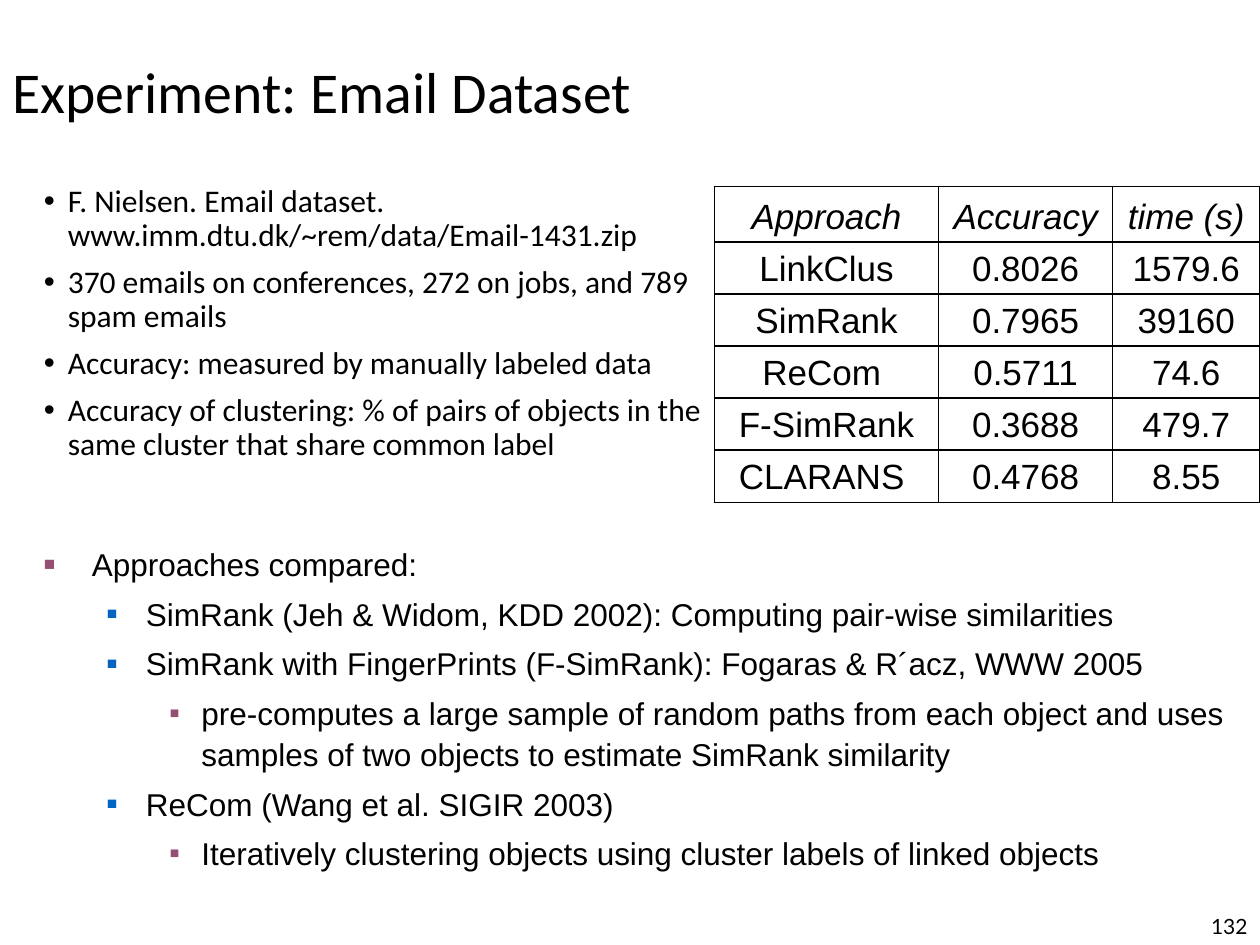
from lxml import etree
from pptx import Presentation, util as u
from pptx.dml.color import RGBColor
from pptx.enum import text
from pptx.oxml import ns

BLACK = RGBColor(0x00, 0x00, 0x00)
PLUM = RGBColor(0x95, 0x4F, 0x72)
BLUE = RGBColor(0x05, 0x63, 0xC1)

TITLE = "Experiment: Email Dataset"
NUMBER = "132"
FACTS = [
    "F. Nielsen. Email dataset. www.imm.dtu.dk/~rem/data/Email-1431.zip",
    "370 emails on conferences, 272 on jobs, and 789 spam emails",
    "Accuracy: measured by manually labeled data",
    "Accuracy of clustering: % of pairs of objects in the same cluster that share common label",
]
RESULTS = [
    ("Approach", "Accuracy", "time (s)"),
    ("LinkClus", "0.8026", "1579.6"),
    ("SimRank", "0.7965", "39160"),
    ("ReCom ", "0.5711", "74.6"),
    ("F-SimRank", "0.3688", "479.7"),
    ("CLARANS ", "0.4768", "8.55"),
]
APPROACHES = [
    (0, "Approaches compared:"),
    (1, "SimRank (Jeh & Widom, KDD 2002): Computing pair-wise similarities"),
    (1, "SimRank with FingerPrints (F-SimRank): Fogaras & R´acz, WWW 2005"),
    (2, "pre-computes a large sample of random paths from each object and uses "
        "samples of two objects to estimate SimRank similarity"),
    (1, "ReCom (Wang et al. SIGIR 2003)"),
    (2, "Iteratively clustering objects using cluster labels of linked objects"),
]
FACT_BULLET = ("•", BLACK, 100, 0.19, 0.19)
LEVELS = [
    ("■", PLUM, 60, 0.38, 0.38),
    ("■", BLUE, 55, 0.81, 0.31),
    ("■", PLUM, 50, 1.25, 0.25),
]
COLUMNS = (1.78, 1.38, 1.17)
HEAD_ROW, ROW = 0.44, 0.41


def set_all(obj, formats):
    for name, value in formats.items():
        setattr(obj, name, value)


def indent(p, left, hang):
    pPr = p._p.get_or_add_pPr()
    pPr.set("marL", str(u.Inches(left)))
    pPr.set("indent", str(-u.Inches(hang)))
    return pPr


def add_bullet(p, char, color, size, left, hang):
    pPr = indent(p, left, hang)
    clr = etree.SubElement(pPr, ns.qn("a:buClr"))
    etree.SubElement(clr, ns.qn("a:srgbClr"), val=str(color))
    etree.SubElement(pPr, ns.qn("a:buSzPct"), val=str(size * 1000))
    etree.SubElement(pPr, ns.qn("a:buFont"), typeface="Arial")
    etree.SubElement(pPr, ns.qn("a:buChar"), char=char)


def write(p, content, font, **formats):
    r = p.add_run()
    r.text = content
    set_all(r.font, font)
    r.font.color.rgb = BLACK
    set_all(p, formats)


def add_text(s, box, lines, font, anchor=text.MSO_ANCHOR.TOP, **formats):
    tf = s.shapes.add_textbox(*map(u.Inches, box)).text_frame
    set_all(tf, {"word_wrap": True, "vertical_anchor": anchor})
    for i, (content, bullet) in enumerate(lines):
        p = tf.add_paragraph() if i else tf.paragraphs[0]
        write(p, content, font, **formats)
        if bullet:
            add_bullet(p, *bullet)


def add_borders(cell):
    tcPr = cell._tc.get_or_add_tcPr()
    for i, side in enumerate(("lnL", "lnR", "lnT", "lnB")):
        ln = etree.Element(ns.qn("a:" + side), w=str(u.Pt(1)))
        fill = etree.SubElement(ln, ns.qn("a:solidFill"))
        etree.SubElement(fill, ns.qn("a:srgbClr"), val=str(BLACK))
        tcPr.insert(i, ln)


def add_results(s, left, top):
    height = HEAD_ROW + ROW * (len(RESULTS) - 1)
    box = map(u.Inches, (left, top, sum(COLUMNS), height))
    table = s.shapes.add_table(len(RESULTS), len(COLUMNS), *box).table
    set_all(table, {"first_row": False, "horz_banding": False})
    for column, width in zip(table.columns, COLUMNS):
        column.width = u.Inches(width)
    for i, values in enumerate(RESULTS):
        table.rows[i].height = u.Inches(ROW if i else HEAD_ROW)
        for j, value in enumerate(values):
            cell = table.cell(i, j)
            set_all(cell, {"vertical_anchor": text.MSO_ANCHOR.BOTTOM,
                           "margin_top": u.Inches(0.04), "margin_bottom": u.Inches(0.04)})
            cell.fill.background()
            add_borders(cell)
            p = cell.text_frame.paragraphs[0]
            write(p, value, {"name": "Arial", "size": u.Pt(20), "italic": i == 0},
                  alignment=text.PP_ALIGN.CENTER)
            indent(p, 0.38, 0.38)


def main():
    prs = Presentation()
    set_all(prs, {"slide_width": u.Inches(10), "slide_height": u.Inches(7.5)})
    s = prs.slides.add_slide(prs.slide_layouts[6])
    add_text(s, (0, 0.42, 10, 0.67), [(TITLE, None)],
             {"name": "Calibri", "size": u.Pt(33)},
             text.MSO_ANCHOR.MIDDLE, line_spacing=0.9)
    add_text(s, (0.25, 1.42, 5.5, 3.25), [(fact, FACT_BULLET) for fact in FACTS],
             {"name": "Calibri", "size": u.Pt(18)},
             line_spacing=0.9, space_before=u.Pt(7.5))
    add_results(s, 5.67, 1.48)
    add_text(s, (0.25, 4.25, 9.58, 2.75),
             [(content, LEVELS[level]) for level, content in APPROACHES],
             {"name": "Arial", "size": u.Pt(18)},
             line_spacing=1.1, space_before=u.Pt(4.5))
    add_text(s, (7.92, 7.08, 2.08, 0.42), [(NUMBER, None)],
             {"name": "Lato", "size": u.Pt(12)},
             text.MSO_ANCHOR.BOTTOM, alignment=text.PP_ALIGN.RIGHT)
    prs.save("out.pptx")


if __name__ == "__main__":
    main()
